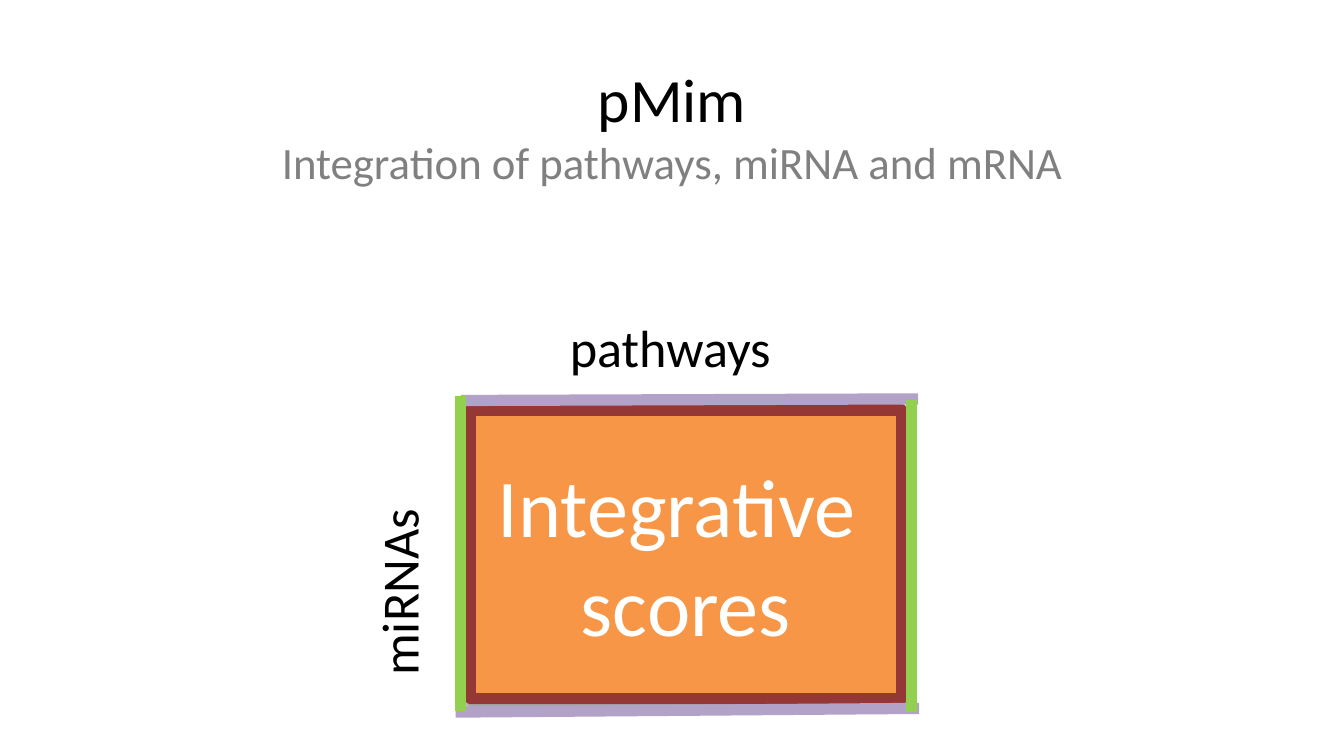
"""Build the pMim slide: an integrative score matrix of miRNAs by pathways."""
from dataclasses import dataclass

from lxml.etree import SubElement
from pptx import Presentation
from pptx.dml.color import RGBColor
from pptx.enum.shapes import MSO_CONNECTOR as Connector
from pptx.enum.shapes import MSO_SHAPE as Preset
from pptx.enum.text import MSO_ANCHOR as Anchor
from pptx.enum.text import PP_ALIGN as Align
from pptx.oxml.ns import qn
from pptx.slide import Slide
from pptx.text.text import TextFrame
from pptx.util import Cm, Pt

BLACK = RGBColor(0x00, 0x00, 0x00)
WHITE = RGBColor(0xFF, 0xFF, 0xFF)
GRAY = RGBColor(0x80, 0x80, 0x80)
ORANGE = RGBColor(0xF7, 0x96, 0x46)
MAROON = RGBColor(0x95, 0x37, 0x35)
LILAC = RGBColor(0xB3, 0xA2, 0xC7)
GREEN = RGBColor(0x92, 0xD0, 0x50)
BORDER = Pt(6)


@dataclass
class Span:
    text: str
    size: float
    color: RGBColor = BLACK


@dataclass
class Label:
    area: tuple[float, float, float, float]
    lines: list[list[Span]]
    align: Align
    frame_format: dict
    rotation: float = 0


@dataclass
class Edge:
    start: tuple[float, float]
    end: tuple[float, float]
    color: RGBColor


TITLE_FORMAT = {
    "word_wrap": True,
    "vertical_anchor": Anchor.MIDDLE,
    "margin_left": Cm(0.18),
    "margin_right": Cm(0.18),
    "margin_top": Cm(0.1),
    "margin_bottom": Cm(0.1),
}
MATRIX_FORMAT = {"word_wrap": True, "vertical_anchor": Anchor.MIDDLE}

LABELS = [
    Label(
        (1.27, 0.76, 22.86, 3.18),
        [[Span("pMim\n", 33), Span("Integration of pathways, miRNA and mRNA", 24, GRAY)]],
        Align.CENTER,
        TITLE_FORMAT,
    ),
    Label((4.45, 9.22, 6.15, 1.45), [[Span("miRNAs", 28)]], Align.LEFT, {"word_wrap": True}, 270),
    Label((10.52, 5.84, 4.34, 1.45), [[Span("pathways", 28)]], Align.LEFT, {"word_wrap": False}),
]
MATRIX_AREA = (8.89, 7.75, 8.15, 5.46)
MATRIX_LINES = [[Span("Integrative ", 44, WHITE)], [Span("scores", 44, WHITE)]]
EDGES = [
    Edge((8.61, 13.46), (17.37, 13.39), LILAC),
    Edge((8.71, 7.57), (17.35, 7.54), LILAC),
    Edge((8.71, 7.49), (8.71, 13.44), GREEN),
    Edge((17.22, 7.57), (17.22, 13.46), GREEN),
]


def set_all(target: object, values: dict) -> None:
    for name, value in values.items():
        setattr(target, name, value)


def write_text(frame: TextFrame, lines: list[list[Span]], align: Align, frame_format: dict) -> None:
    set_all(frame, frame_format)
    for index, spans in enumerate(lines):
        paragraph = frame.add_paragraph() if index else frame.paragraphs[0]
        paragraph.alignment = align
        for span in spans:
            run = paragraph.add_run()
            run.text = span.text.rstrip("\n")
            set_all(run.font, {"name": "Calibri", "size": Pt(span.size)})
            run.font.color.rgb = span.color
            if span.text.endswith("\n"):
                paragraph.add_line_break()


def draw_label(page: Slide, label: Label) -> None:
    box = page.shapes.add_textbox(*map(Cm, label.area))
    box.rotation = label.rotation
    write_text(box.text_frame, label.lines, label.align, label.frame_format)


def draw_matrix(page: Slide) -> None:
    matrix = page.shapes.add_shape(Preset.RECTANGLE, *map(Cm, MATRIX_AREA))
    matrix.fill.solid()
    matrix.fill.fore_color.rgb = ORANGE
    matrix.line.color.rgb = MAROON
    matrix.line.width = BORDER
    matrix.shadow.inherit = False
    effects = matrix.element.spPr.find(qn("a:effectLst"))
    shadow = SubElement(
        effects,
        qn("a:outerShdw"),
        blurRad=str(Pt(3.1)),
        dist=str(Pt(1.6)),
        dir="5400000",
        rotWithShape="0",
    )
    tint = SubElement(shadow, qn("a:srgbClr"), val=str(BLACK))
    SubElement(tint, qn("a:alpha"), val="38000")
    write_text(matrix.text_frame, MATRIX_LINES, Align.CENTER, MATRIX_FORMAT)


def draw_edge(page: Slide, edge: Edge) -> None:
    line = page.shapes.add_connector(Connector.STRAIGHT, *map(Cm, edge.start + edge.end))
    line.line.color.rgb = edge.color
    line.line.width = BORDER
    SubElement(line.element.spPr, qn("a:effectLst"))


def main() -> None:
    deck = Presentation()
    set_all(deck, {"slide_width": Cm(25.4), "slide_height": Cm(14.29)})
    page = deck.slides.add_slide(deck.slide_layouts[6])
    draw_matrix(page)
    for label in LABELS:
        draw_label(page, label)
    for edge in EDGES:
        draw_edge(page, edge)
    deck.save("out.pptx")


if __name__ == "__main__":
    main()
